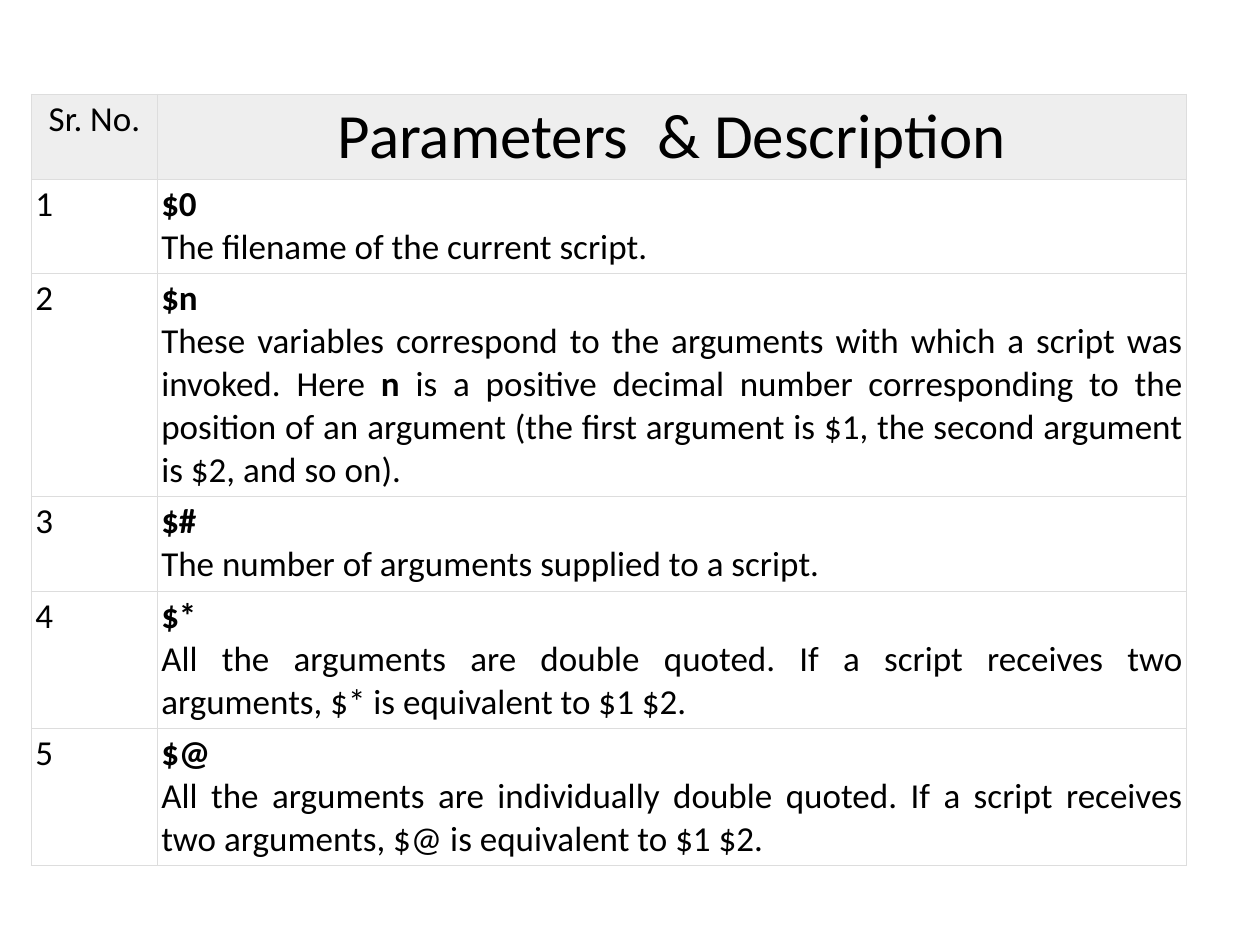
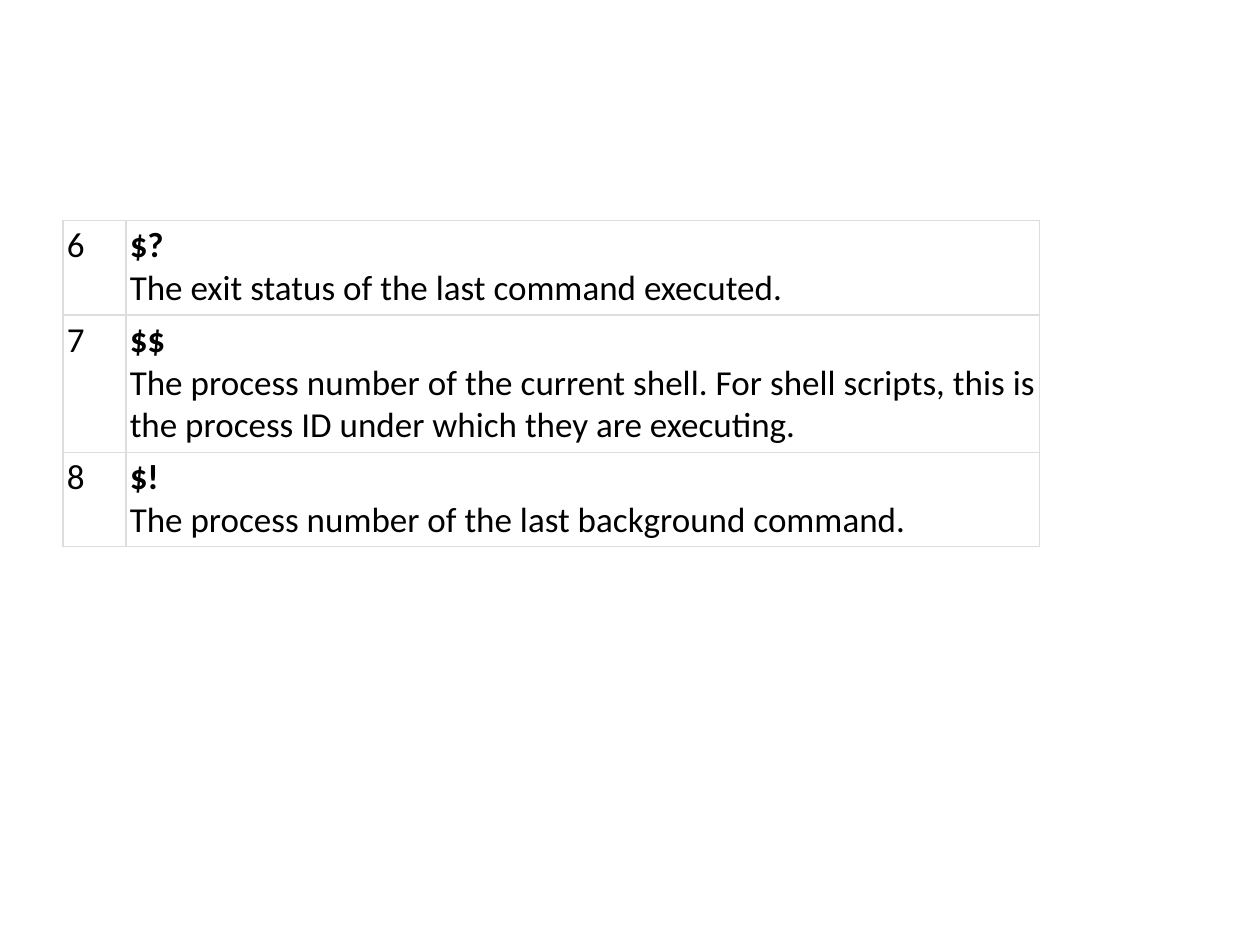
import dataclasses
import pptx
import pptx.dml.color
import pptx.enum.text
import pptx.oxml
import pptx.oxml.ns
import pptx.util

Inches, Pt = pptx.util.Inches, pptx.util.Pt
RGB = pptx.dml.color.RGBColor.from_string
ALIGN = pptx.enum.text.PP_ALIGN


@dataclasses.dataclass(frozen=True)
class Theme:
    font: str = "Calibri"
    ink: str = "000000"
    rule: str = "DDDDDD"
    band: str = "EEEEEE"
    body: int = 20
    head: int = 36
    edge: float = 0.75
    inset: float = 0.03


theme = Theme()
deck = pptx.Presentation()
deck.slide_width, deck.slide_height = Inches(10), Inches(7.5)
unit = deck.slide_width / 40  # grid of 40 columns by 30 rows
line, pad = 0.34, 0.07  # height of one text line and of the cell padding


def write(cell, text, size=theme.body, align=ALIGN.LEFT, fill=None):
    """Fill a cell; each line is a paragraph, and |marks| enclose bold words."""
    cell.margin_left = cell.margin_right = Inches(theme.inset)
    cell.margin_top = cell.margin_bottom = Inches(theme.inset)
    frame = cell.text_frame
    for i, row in enumerate(text.split("\n")):
        para = frame.add_paragraph() if i else frame.paragraphs[0]
        para.alignment = align
        for j, part in enumerate(row.split("|")):
            if part:
                run = para.add_run()
                run.text = part
                run.font.name, run.font.size = theme.font, Pt(size)
                run.font.bold = j % 2 == 1
                run.font.color.rgb = RGB(theme.ink)
    # Borders come before the fill in the cell properties
    props = cell._tc.get_or_add_tcPr()
    for side in "LRTB":
        props.append(pptx.oxml.parse_xml(
            f'<a:ln{side} {pptx.oxml.ns.nsdecls("a")} w="{Pt(theme.edge)}">'
            f'<a:solidFill><a:srgbClr val="{theme.rule}"/></a:solidFill></a:ln{side}>'))
    if fill:
        cell.fill.solid()
        cell.fill.fore_color.rgb = RGB(fill)
    else:
        cell.fill.background()


# Each entry: name, meaning, lines of text in its row
first = [
    ("$0", "The filename of the current script.", 2),
    ("$n", "These variables correspond to the arguments with which a script was "
           "invoked. Here |n| is a positive decimal number corresponding to the "
           "position of an argument (the first argument is $1, the second argument "
           "is $2, and so on).", 5),
    ("$#", "The number of arguments supplied to a script.", 2),
    ("$*", "All the arguments are double quoted. If a script receives two "
           "arguments, $* is equivalent to $1 $2.", 3),
    ("$@", "All the arguments are individually double quoted. If a script receives "
           "two arguments, $@ is equivalent to $1 $2.", 3),
]
second = [
    ("$?", "The exit status of the last command executed.", 2),
    ("$$", "The process number of the current shell. For shell scripts, this is "
           "the process ID under which they are executing.", 3),
    ("$!", "The process number of the last background command.", 2),
]

# Each page: heads, entries, first number, then left, top and widths in grid units
pages = [
    (("Sr. No.", "Parameters  & Description"), first, 1, 1, 3, (4, 32.68)),
    ((), second, 6, 2, 7, (2, 29)),
]

for heads, items, start, left, top, widths in pages:
    slide = deck.slides.add_slide(deck.slide_layouts[6])
    highs = [0.67] * bool(heads) + [line * count + pad for _, _, count in items]
    table = slide.shapes.add_table(
        len(highs), 2, int(left * unit), int(top * unit),
        int(sum(widths) * unit), Inches(sum(highs))).table
    table.first_row = table.horz_banding = False
    for col, width in zip(table.columns, widths):
        col.width = int(width * unit)
    for row, high in zip(table.rows, highs):
        row.height = Inches(high)

    # Heading row
    for col, (head, size) in enumerate(zip(heads, (theme.body, theme.head))):
        write(table.cell(0, col), head, size=size, align=ALIGN.CENTER, fill=theme.band)

    # Numbered parameters
    for i, (name, text, _) in enumerate(items):
        row = i + bool(heads)
        write(table.cell(row, 0), str(start + i))
        write(table.cell(row, 1), f"|{name}|\n{text}", align=ALIGN.JUSTIFY)

deck.save("out.pptx")
